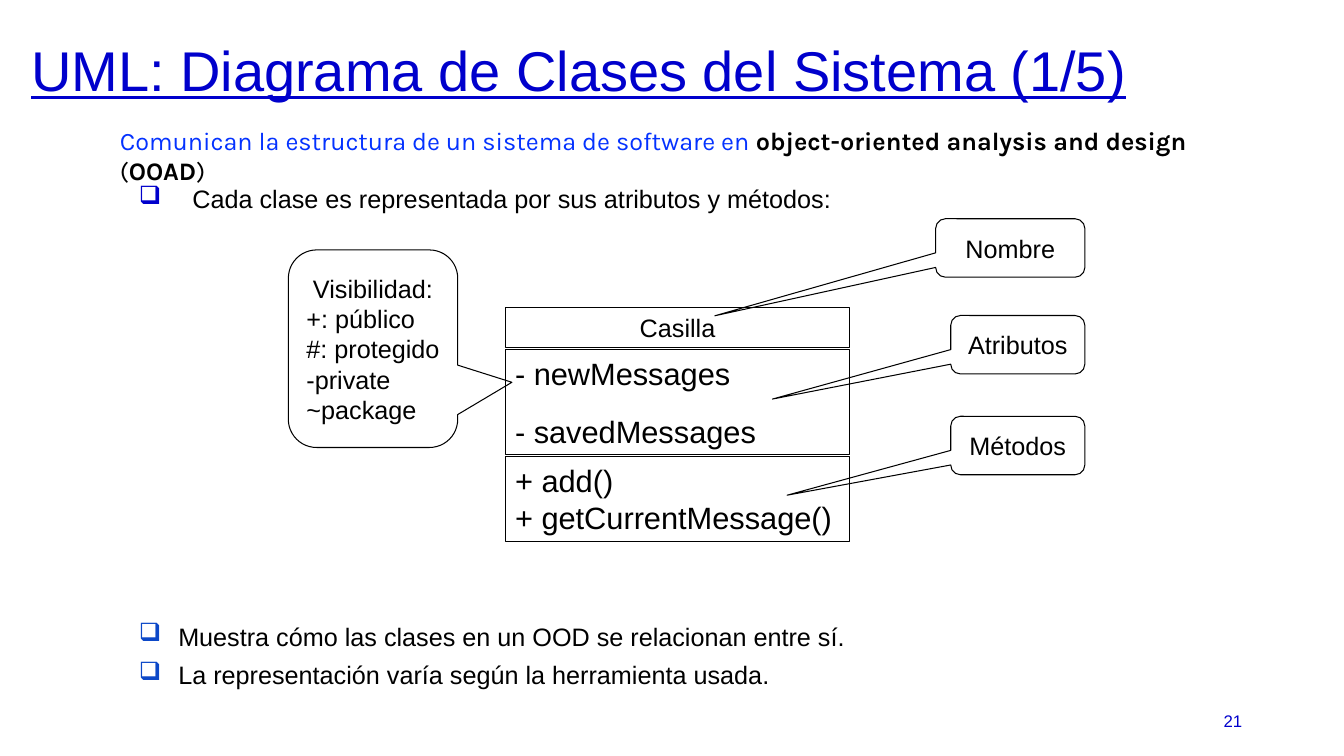
"""Builds the slide on UML class diagrams."""
from dataclasses import dataclass

from lxml import etree
from pptx import Presentation
from pptx.dml.color import RGBColor
from pptx.enum import shapes, text
from pptx.oxml import ns
from pptx.util import Inches, Pt


@dataclass(frozen=True)
class Theme:
    """Colours, fonts and type sizes of the slide."""
    ink: str = "000000"
    title: str = "0000CC"
    intro: str = "0432FF"
    marker: str = "0C48C8"
    paper: str = "FFFFFF"
    font: str = "Arial"
    intro_font: str = "Karla"
    title_size: int = 40
    member_size: int = 22
    body_size: int = 18
    number_size: int = 12
    line: float = 0.75


THEME = Theme()
LEFT, CENTER, RIGHT = (text.PP_ALIGN.LEFT, text.PP_ALIGN.CENTER,
                       text.PP_ALIGN.RIGHT)
TOP, MIDDLE = text.MSO_ANCHOR.TOP, text.MSO_ANCHOR.MIDDLE


def style_run(run, size=THEME.body_size, color=THEME.ink, font=THEME.font,
              bold=False):
    """Set the type of one run."""
    run.font.size = Pt(size)
    run.font.name = font
    run.font.bold = bold
    run.font.color.rgb = RGBColor.from_string(color)


def write_lines(frame, lines, align=LEFT, gap=0, **style):
    """Write one paragraph per line, with a gap between them."""
    frame.text = "\n".join(lines)
    for index, paragraph in enumerate(frame.paragraphs):
        paragraph.alignment = align
        if index and gap:
            paragraph.space_before = Pt(gap)
        for run in paragraph.runs:
            style_run(run, **style)


def add_text(slide, box, lines=(), anchor=TOP, **style):
    """Add a wrapping text box and return its frame."""
    frame = slide.shapes.add_textbox(*map(Inches, box)).text_frame
    frame.word_wrap = True
    frame.vertical_anchor = anchor
    write_lines(frame, lines, **style)
    return frame


def add_bullets(slide, box, lines, indent, hanging, color):
    """Add a list with square markers."""
    frame = add_text(slide, box, lines, gap=6)
    for paragraph in frame.paragraphs:
        properties = paragraph._p.get_or_add_pPr()
        properties.set("marL", str(Inches(indent)))
        properties.set("indent", str(-Inches(hanging)))
        marker_color = etree.SubElement(properties, ns.qn("a:buClr"))
        etree.SubElement(marker_color, ns.qn("a:srgbClr"), val=color)
        etree.SubElement(properties, ns.qn("a:buChar"), char="❑")


def add_outlined(slide, preset, box):
    """Add a preset shape with a thin outline and no shadow."""
    shape = slide.shapes.add_shape(preset, *map(Inches, box))
    shape.shadow.inherit = False
    shape.line.color.rgb = RGBColor.from_string(THEME.ink)
    shape.line.width = Pt(THEME.line)
    return shape


def add_compartment(slide, top, height, lines, **style):
    """Add one compartment of the class box."""
    compartment = add_outlined(slide, shapes.MSO_SHAPE.RECTANGLE,
                               (5.01, top, 3.42, height))
    compartment.fill.solid()
    compartment.fill.fore_color.rgb = RGBColor.from_string(THEME.paper)
    compartment.text_frame.vertical_anchor = TOP
    compartment.text_frame.word_wrap = True
    write_lines(compartment.text_frame, lines, **style)


def add_callout(slide, box, tip, lines):
    """Add a rounded callout whose heading is centred."""
    callout = add_outlined(
        slide, shapes.MSO_SHAPE.ROUNDED_RECTANGULAR_CALLOUT, box)
    callout.fill.background()
    for index, value in enumerate((*tip, 0.167)):
        callout.adjustments[index] = value
    frame = callout.text_frame
    frame.word_wrap = False
    frame.vertical_anchor = MIDDLE
    write_lines(frame, lines)
    frame.paragraphs[0].alignment = CENTER


def add_intro(slide):
    """Add the opening sentence in mixed type."""
    sentence = add_text(slide, (1.09, 1.19, 10.99, 0.69)).paragraphs[0]
    for words, color, bold in (
            ("Comunican la estructura de un sistema de software en ",
             THEME.intro, False),
            ("object-oriented analysis and design ", THEME.ink, True),
            ("(", THEME.ink, False),
            ("OOAD", THEME.ink, True),
            (")", THEME.ink, False)):
        run = sentence.add_run()
        run.text = words
        style_run(run, color=color, font=THEME.intro_font, bold=bold)


def add_class_diagram(slide):
    """Add the class box and the callouts that explain it."""
    add_compartment(slide, 3.05, 0.4, ["Casilla"], align=CENTER)
    add_compartment(slide, 3.47, 1.04, ["- newMessages", "- savedMessages"],
                    gap=15, size=THEME.member_size)
    add_compartment(slide, 4.53, 0.84, ["+ add()", "+ getCurrentMessage()"],
                    size=THEME.member_size)
    for box, tip, lines in (
            ((9.43, 3.13, 1.33, 0.58), (-1.83, 0.93), ["Atributos"]),
            ((9.43, 4.13, 1.33, 0.58), (-1.72, 0.85), ["Métodos"]),
            ((2.86, 2.48, 1.68, 1.96), (0.82, 0.17),
             ["Visibilidad:", "+: público", "#: protegido", "-private",
              "~package"]),
            ((9.28, 2.17, 1.48, 0.58), (-1.98, 1.16), ["Nombre"])):
        add_callout(slide, box, tip, lines)


def main():
    """Build and save the slide."""
    deck = Presentation()
    deck.slide_width, deck.slide_height = Inches(13.33), Inches(7.5)
    slide = deck.slides.add_slide(deck.slide_layouts[6])
    title = add_text(slide, (0.21, 0.25, 12.92, 0.95),
                     ["UML: Diagrama de Clases del Sistema (1/5)"],
                     anchor=MIDDLE, size=THEME.title_size, color=THEME.title)
    title.paragraphs[0].line_spacing = 0.9
    title.paragraphs[0].runs[0].font.underline = True
    add_intro(slide)
    add_bullets(slide, (1.28, 1.77, 12, 2.75),
                ["Cada clase es representada por sus atributos y métodos:"],
                0.53, 0.53, THEME.title)
    add_class_diagram(slide)
    add_bullets(slide, (1.28, 6.11, 12, 0.95),
                ["Muestra cómo las clases en un OOD se relacionan entre sí.",
                 "La representación varía según la herramienta usada."],
                0.39, 0.39, THEME.marker)
    add_text(slide, (9.42, 6.95, 3, 0.4), ["21"], anchor=MIDDLE, align=RIGHT,
             size=THEME.number_size, color=THEME.title)
    deck.save("out.pptx")


if __name__ == "__main__":
    main()
